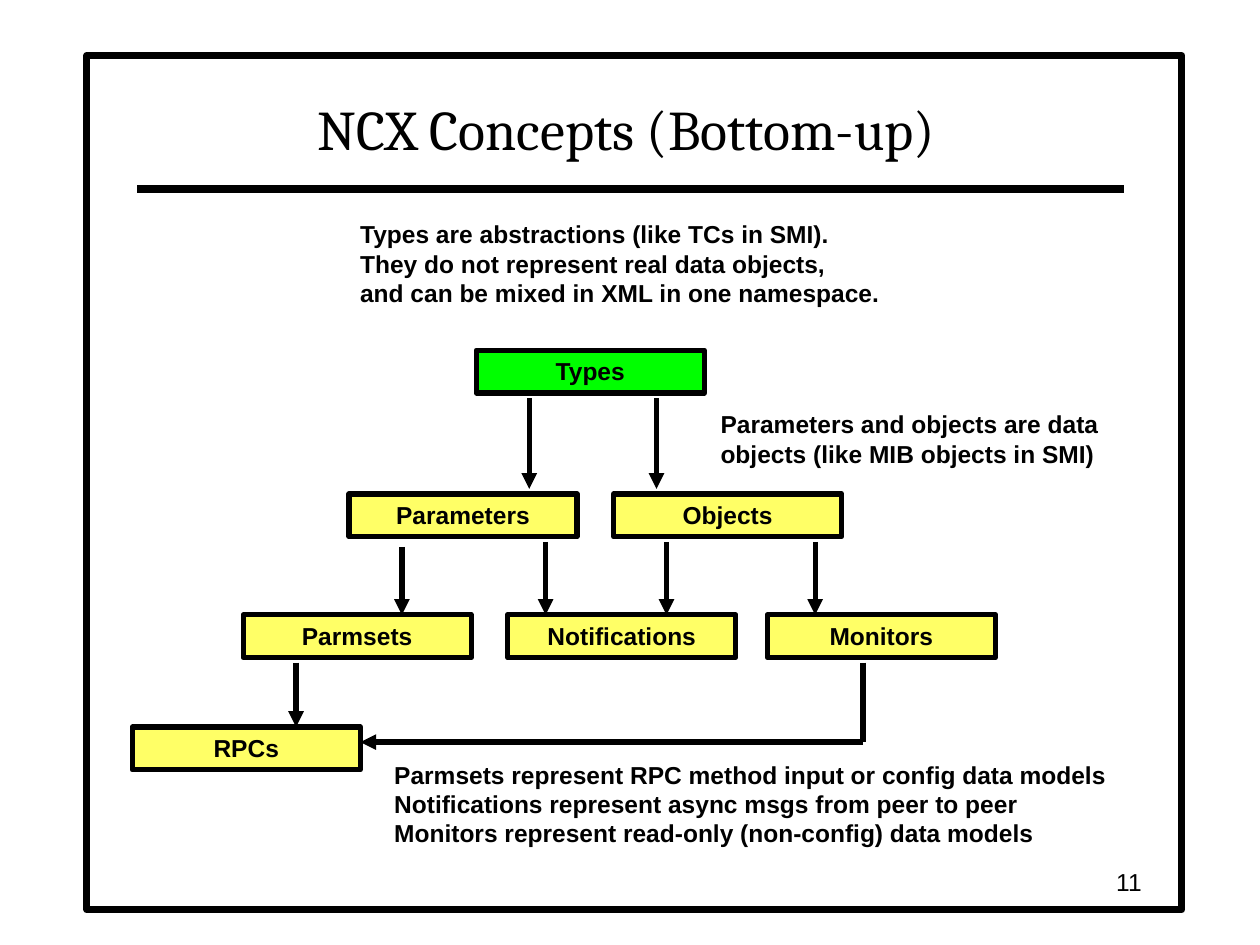
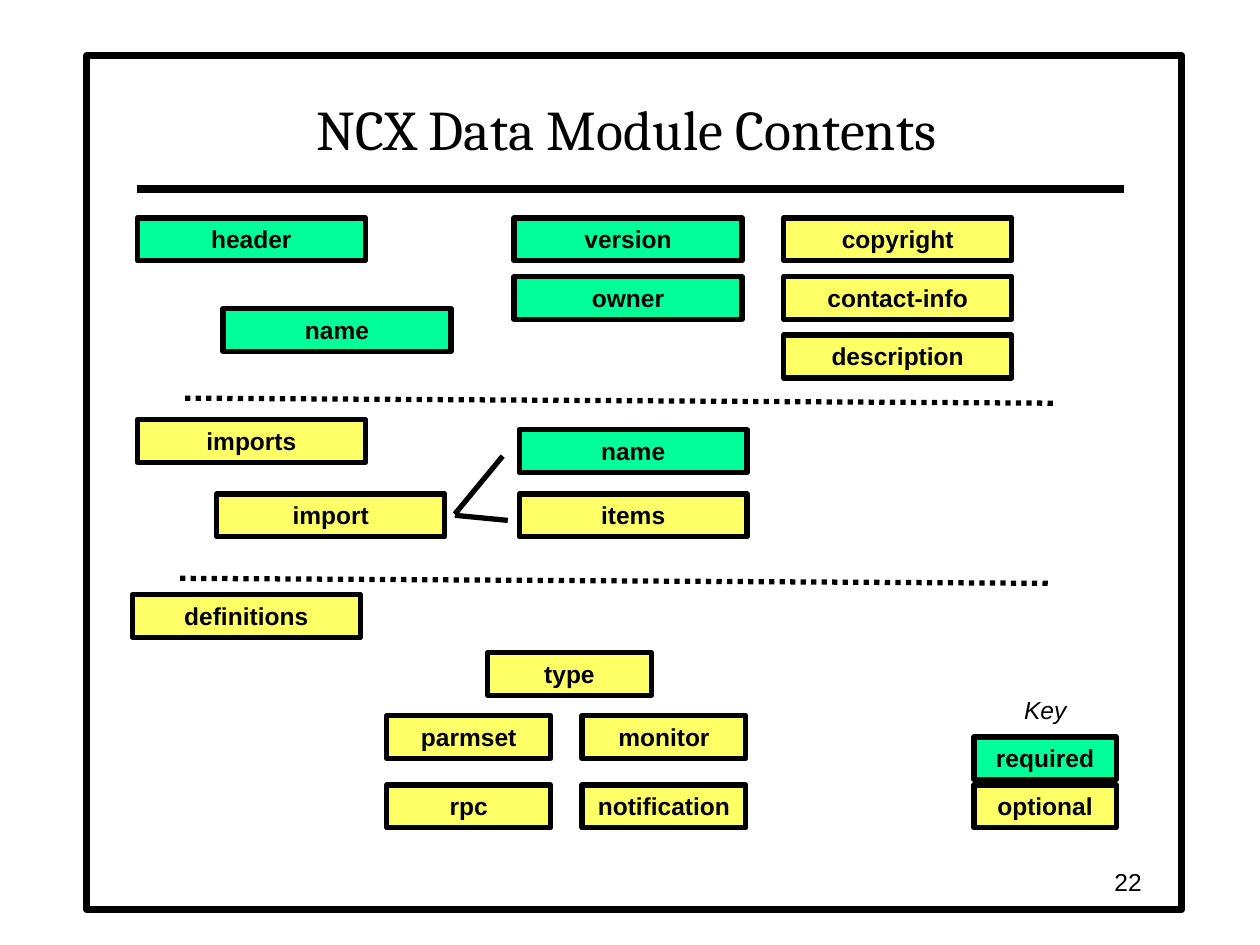
from typing import NamedTuple

from pptx import Presentation
from pptx import util as u
from pptx.dml.color import RGBColor
from pptx.enum import dml, shapes, text
from pptx.oxml import ns
from lxml import etree

# Grid: 100 columns by 75 rows over a 10 x 7.5 inch page
SLIDE_WIDTH, SLIDE_HEIGHT = u.Inches(10), u.Inches(7.5)
COLUMNS, ROWS = 100, 75

BLACK, WHITE = "000000", "FFFFFF"
GREEN, MINT, YELLOW = "00FF00", "00FF99", "FFFF66"
TITLE_FONT, BODY_FONT = "Cambria", "Arial"
BODY_SIZE = 14
BOX_WIDTH, SMALL_WIDTH, KEY_WIDTH, BOX_HEIGHT = 18.1, 13, 11.3, 3.4


class Box(NamedTuple):
    label: str
    column: float
    row: float
    fill: str = YELLOW
    width: float = BOX_WIDTH


class Line(NamedTuple):
    start: tuple[float, float]
    end: tuple[float, float]
    arrow: bool = False
    dotted: bool = False
    weight: float = 3


class Note(NamedTuple):
    words: str
    column: float
    row: float
    width: float
    height: float
    bold: bool = True
    italic: bool = False
    wrap: bool = False
    align: text.PP_ALIGN = text.PP_ALIGN.LEFT
    anchor: text.MSO_ANCHOR = text.MSO_ANCHOR.TOP


def across(columns: float) -> int:
    return round(SLIDE_WIDTH * columns / COLUMNS)


def down(rows: float) -> int:
    return round(SLIDE_HEIGHT * rows / ROWS)


def area(column: float, row: float, width: float, height: float) -> tuple:
    return across(column), down(row), across(width), down(height)


def color(code: str) -> RGBColor:
    return RGBColor.from_string(code)


def format_text(frame, size=BODY_SIZE, name=BODY_FONT, bold=False, italic=False,
                align=text.PP_ALIGN.LEFT, anchor=text.MSO_ANCHOR.TOP, wrap=True) -> None:
    frame.word_wrap = wrap
    frame.auto_size = text.MSO_AUTO_SIZE.NONE
    frame.vertical_anchor = anchor
    for para in frame.paragraphs:
        para.alignment = align
        for span in para.runs:
            font = span.font
            font.size, font.name = u.Pt(size), name
            font.bold, font.italic = bold, italic
            font.color.rgb = color(BLACK)


def draw_rectangle(page, place: tuple, fill: str, weight: float):
    rectangle = page.shapes.add_shape(shapes.MSO_SHAPE.RECTANGLE, *place)
    rectangle.shadow.inherit = False
    rectangle.fill.solid()
    rectangle.fill.fore_color.rgb = color(fill)
    rectangle.line.color.rgb = color(BLACK)
    rectangle.line.width = u.Pt(weight)
    return rectangle


def draw_box(page, box: Box) -> None:
    place = area(box.column, box.row, box.width, BOX_HEIGHT)
    rectangle = draw_rectangle(page, place, box.fill, 3)
    rectangle.text_frame.text = box.label
    format_text(rectangle.text_frame, bold=True, align=text.PP_ALIGN.CENTER)


def draw_line(page, line: Line):
    connector = page.shapes.add_connector(
        shapes.MSO_CONNECTOR.STRAIGHT,
        across(line.start[0]), down(line.start[1]),
        across(line.end[0]), down(line.end[1]))
    connector.line.color.rgb = color(BLACK)
    connector.line.width = u.Pt(line.weight)
    if line.dotted:
        connector.line.dash_style = dml.MSO_LINE.ROUND_DOT
    properties = connector.element.spPr
    if line.arrow:
        etree.SubElement(properties.find(ns.qn("a:ln")), ns.qn("a:tailEnd"), type="triangle")
    etree.SubElement(properties, ns.qn("a:effectLst"))
    return connector


def draw_note(page, note: Note) -> None:
    box = page.shapes.add_textbox(*area(note.column, note.row, note.width, note.height))
    box.text_frame.text = note.words
    format_text(box.text_frame, bold=note.bold, italic=note.italic, wrap=note.wrap,
                align=note.align, anchor=note.anchor)


def add_page(deck, layout, title: str, number: str, boxes: list[Box],
             lines: list[Line], notes: list[Note]):
    page = deck.slides.add_slide(layout)
    heading = page.shapes.title
    heading.left, heading.top, heading.width, heading.height = area(10.8, 5.8, 77.9, 7.5)
    heading.text_frame.text = title
    format_text(heading.text_frame, 32, TITLE_FONT, align=text.PP_ALIGN.CENTER,
                anchor=text.MSO_ANCHOR.BOTTOM)
    for line in lines:
        draw_line(page, line)
    for box in boxes:
        draw_box(page, box)
    page_number = Note(number, 70.8, 68.3, 20.8, 3.3, bold=False, wrap=True,
                       align=text.PP_ALIGN.RIGHT, anchor=text.MSO_ANCHOR.MIDDLE)
    for note in [*notes, page_number]:
        draw_note(page, note)
    return page


def add_frame(page, layout) -> None:
    """Draw the border and title rule, and hand them to the shared layout."""
    border = draw_rectangle(page, area(6.9, 4.4, 86.9, 67.8), WHITE, 4)
    rule = draw_line(page, Line((10.9, 15), (89.2, 15), weight=4.5))
    for shape in (border, rule):
        layout.element.cSld.spTree.append(shape.element)


def down_arrow(column: float, top: float, bottom: float) -> Line:
    return Line((column, top), (column, bottom), arrow=True)


# Concept tree
CONCEPT_BOXES = [
    Box("Types", 37.8, 27.8, GREEN),
    Box("Parameters", 27.7, 39.2),
    Box("Objects", 48.7, 39.2),
    Box("Parmsets", 19.3, 48.8),
    Box("Notifications", 40.3, 48.8),
    Box("Monitors", 60.9, 48.8),
    Box("RPCs", 10.5, 57.7),
]
CONCEPT_LINES = [
    *(down_arrow(column, 31.6, 38.8) for column in (42, 52.1)),
    down_arrow(31.9, 43.4, 48.8),
    *(down_arrow(column, 43, 48.8) for column in (43.3, 52.9, 64.7)),
    down_arrow(23.5, 52.6, 57.7),
    Line((68.5, 52.6), (68.5, 58.9)),
    Line((68.5, 58.9), (28.6, 58.9), arrow=True),
]
CONCEPT_NOTES = [
    Note("Types are abstractions (like TCs in SMI).\v"
         "They do not represent real data objects,\n"
         "and can be mixed in XML in one namespace.", 27.6, 16.9, 43.3, 8),
    Note("Parameters and objects are data\vobjects (like MIB objects in SMI)",
         56.2, 32, 32.5, 5.7),
    Note("Parmsets represent RPC method input or config data models\v"
         "Notifications represent async msgs from peer to peer\n"
         "Monitors represent read-only (non-config) data models",
         30.3, 59.8, 60.1, 8, wrap=True),
]

# Module contents: header, imports, definitions and key
HEADER_ROWS = [17.3 + 4.65 * step for step in range(3)]
MODULE_BOXES = [
    Box("header", 10.9, HEADER_ROWS[0], MINT),
    Box("name", 17.7, 24.5, MINT),
    *(Box(label, 40.8, row, MINT) for label, row in zip(("version", "owner"), HEADER_ROWS)),
    *(Box(label, 62.2, row)
      for label, row in zip(("copyright", "contact-info", "description"), HEADER_ROWS)),
    Box("imports", 10.9, 33.3),
    Box("import", 17.2, 39.2),
    Box("name", 41.2, 34.1, MINT),
    Box("items", 41.2, 39.2),
    Box("definitions", 10.5, 47.2),
    Box("type", 38.7, 51.8, width=SMALL_WIDTH),
    *(Box(label, column, row, width=SMALL_WIDTH)
      for row, labels in ((56.8, ("parmset", "monitor")), (62.3, ("rpc", "notification")))
      for column, label in zip((30.7, 46.2), labels)),
    Box("required", 77.3, 58.5, MINT, KEY_WIDTH),
    Box("optional", 77.3, 62.3, YELLOW, KEY_WIDTH),
]
MODULE_LINES = [
    Line((14.7, 31.6), (83.6, 32), dotted=True),
    Line((14.3, 45.9), (83.2, 46.3), dotted=True),
    Line((36.1, 40.8), (39.9, 36.2)),
    Line((36.1, 40.9), (40.3, 41.3)),
]
MODULE_NOTES = [Note("Key", 80.3, 54.7, 5.3, 3.4, bold=False, italic=True)]


def main() -> None:
    deck = Presentation()
    deck.slide_width, deck.slide_height = SLIDE_WIDTH, SLIDE_HEIGHT
    layout = deck.slide_layouts.get_by_name("Title Only")
    concepts = add_page(deck, layout, "NCX Concepts (Bottom-up)", "11",
                        CONCEPT_BOXES, CONCEPT_LINES, CONCEPT_NOTES)
    add_frame(concepts, layout)
    add_page(deck, layout, "NCX Data Module Contents", "22",
             MODULE_BOXES, MODULE_LINES, MODULE_NOTES)
    deck.save("out.pptx")


if __name__ == "__main__":
    main()
